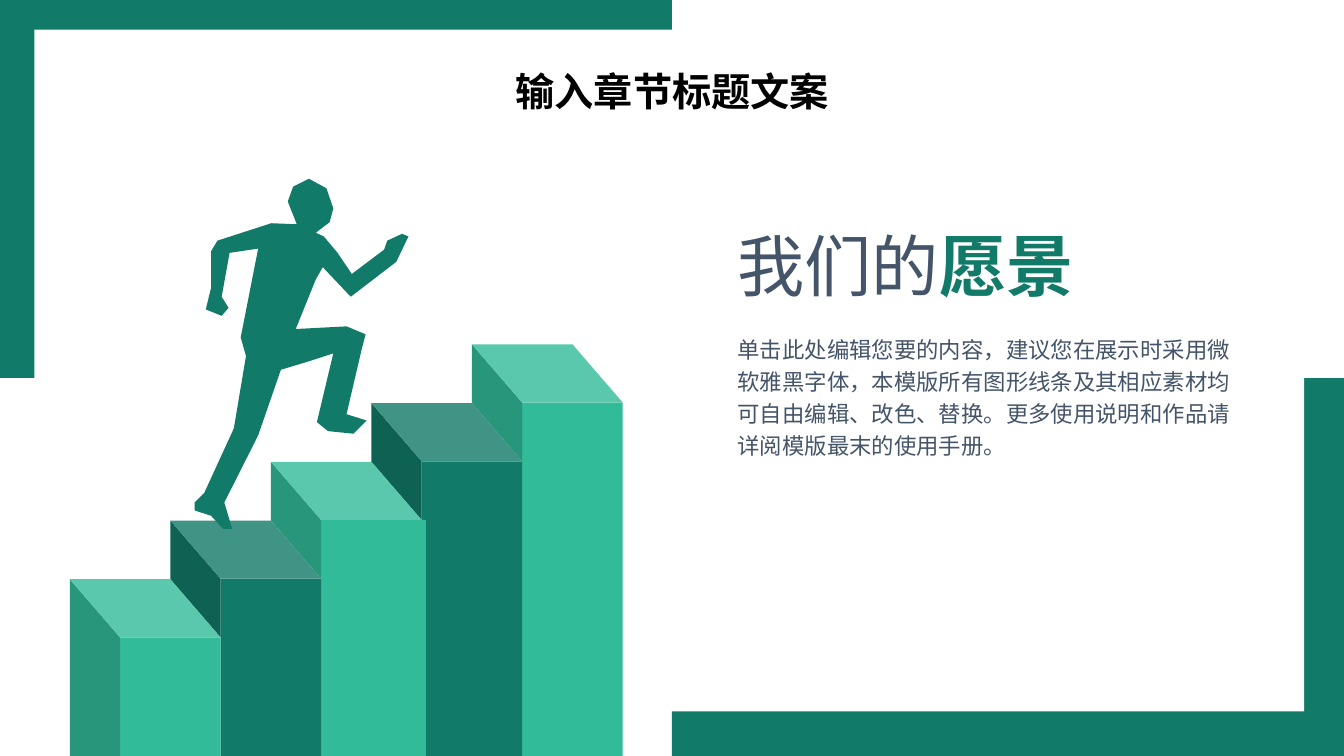
from pptx import Presentation
from pptx.dml.color import RGBColor
from pptx.enum.lang import MSO_LANGUAGE_ID
from pptx.enum.shapes import MSO_SHAPE
from pptx.enum.text import MSO_ANCHOR, MSO_AUTO_SIZE, PP_ALIGN
from pptx.util import Cm, Pt

GREEN = RGBColor(0x11, 0x7A, 0x68)
WHITE = RGBColor(0xFF, 0xFF, 0xFF)
BLACK = RGBColor(0, 0, 0)
SLATE = RGBColor(0x44, 0x54, 0x69)
# Front, side and top of a stair
LIGHT = (RGBColor(0x32, 0xBB, 0x99), RGBColor(0x28, 0x96, 0x7B),
         RGBColor(0x5A, 0xC8, 0xAD))
DARK = (GREEN, RGBColor(0x0E, 0x62, 0x54), RGBColor(0x40, 0x94, 0x86))

WIDE, HIGH = 25.4, 14.29
FLOOR = 15.52

# Outline of the runner in cm: front arm, head, rear arm, legs, chest
RUNNER = [
    (7.6, 4.42), (7.32, 4.55), (7.26, 4.72), (6.65, 5.18), (6.38, 4.78),
    (6.12, 4.47), (5.97, 4.4), (6.23, 4.2), (6.3, 3.94), (6.17, 3.56),
    (5.84, 3.38), (5.54, 3.53), (5.44, 3.81), (5.61, 4.24), (5.13, 4.22),
    (4.11, 4.55), (3.99, 4.75), (3.99, 5.44), (3.89, 5.85), (4.19, 5.97),
    (4.32, 5.82), (4.19, 5.61), (4.34, 4.78), (4.88, 4.7), (4.55, 6.38),
    (4.65, 6.73), (4.42, 8.1), (3.86, 9.32), (3.68, 9.5), (3.68, 9.65),
    (3.99, 9.75), (4.22, 10), (4.39, 10), (4.24, 9.5), (4.88, 8.23),
    (5.31, 6.99), (5.84, 6.83), (6.3, 6.68), (5.99, 7.98), (6.2, 8.15),
    (6.68, 8.2), (6.93, 7.95), (6.55, 7.83), (6.83, 6.63), (6.91, 6.32),
    (6.55, 6.17), (5.59, 6.22), (5.97, 5.28), (6.1, 5.05), (6.63, 5.61),
    (7.49, 4.95), (7.72, 4.47),
]


def paint(shape, fill):
    shape.shadow.inherit = False
    shape.fill.solid()
    shape.fill.fore_color.rgb = fill
    shape.line.fill.background()


def add_box(slide, x, y, w, h, fill):
    box = slide.shapes.add_shape(
        MSO_SHAPE.RECTANGLE, Cm(x), Cm(y), Cm(w), Cm(h))
    paint(box, fill)


def add_poly(slide, points, fill):
    first, *rest = [(Cm(x), Cm(y)) for x, y in points]
    pen = slide.shapes.build_freeform(*first)
    pen.add_line_segments(rest, close=True)
    paint(pen.convert_to_shape(), fill)


def add_run(para, text, size, color, bold=False, face="Arial"):
    run = para.add_run()
    run.text = text
    font = run.font
    font.name, font.size, font.bold = face, Pt(size), bold
    font.color.rgb = color
    font.language_id = MSO_LANGUAGE_ID.SIMPLIFIED_CHINESE


def add_text(slide, x, y, w, h):
    frame = slide.shapes.add_textbox(Cm(x), Cm(y), Cm(w), Cm(h)).text_frame
    frame.word_wrap = True
    frame.margin_left = frame.margin_right = 0
    frame.margin_top = frame.margin_bottom = 0
    return frame.paragraphs[0]


def add_frame(slide):
    half, mid = WIDE / 2, HIGH / 2
    add_box(slide, 0, 0, half, mid, GREEN)
    add_box(slide, half, mid, half, mid, GREEN)
    add_box(slide, 0.65, 0.56, 24, 12.89, WHITE)


def add_stair(slide, step):
    wide, run, drop, rise = 1.9, 0.95, 1.1, 1.11
    x, y = 1.32 + step * wide, 10.95 - step * rise
    front, side, top = DARK if step % 2 else LIGHT
    edge, base = x + run, y + drop
    tall = rise if step else FLOOR - base
    # The middle stair is a little wider
    add_box(slide, edge, base, 1.98 if step == 2 else wide, FLOOR - base, front)
    add_poly(slide, [(x, y), (edge, base), (edge, base + tall), (x, y + tall)],
             side)
    add_poly(slide, [(x, y), (x + wide, y), (edge + wide, base), (edge, base)],
             top)


def add_title(slide, text):
    title = slide.shapes.title
    title.left, title.top = Cm(8.69), Cm(1.14)
    title.width, title.height = Cm(8.03), Cm(1.14)
    frame = title.text_frame
    frame.word_wrap = True
    frame.auto_size = MSO_AUTO_SIZE.NONE
    frame.vertical_anchor = MSO_ANCHOR.TOP
    para = frame.paragraphs[0]
    para.alignment = PP_ALIGN.CENTER
    add_run(para, text, 21, BLACK, True, "Calibri")
    # Bring the title in front of the white panel
    slide.shapes._spTree.append(title._element)


def main():
    deck = Presentation()
    deck.slide_width, deck.slide_height = Cm(WIDE), Cm(HIGH)
    slide = deck.slides.add_slide(deck.slide_layouts[5])

    add_frame(slide)

    # Stairs, from the far one to the near one, and the runner
    for step in reversed(range(5)):
        add_stair(slide, step)
    add_poly(slide, RUNNER, GREEN)

    # Vision heading and body
    head = add_text(slide, 13.94, 4.24, 10.72, 1.55)
    add_run(head, "我们的", 36, SLATE)
    add_run(head, "愿景", 36, GREEN, True)
    body = add_text(slide, 13.94, 6.25, 9.37, 2.41)
    body.line_spacing = 1.2
    add_run(body, "单击此处编辑您要的内容，建议您在展示时采用微软雅黑字体，"
            "本模版所有图形线条及其相应素材均可自由编辑、改色、替换。"
            "更多使用说明和作品请详阅模版最末的使用手册。", 12, SLATE)

    add_title(slide, "输入章节标题文案")
    deck.save("out.pptx")


if __name__ == "__main__":
    main()
